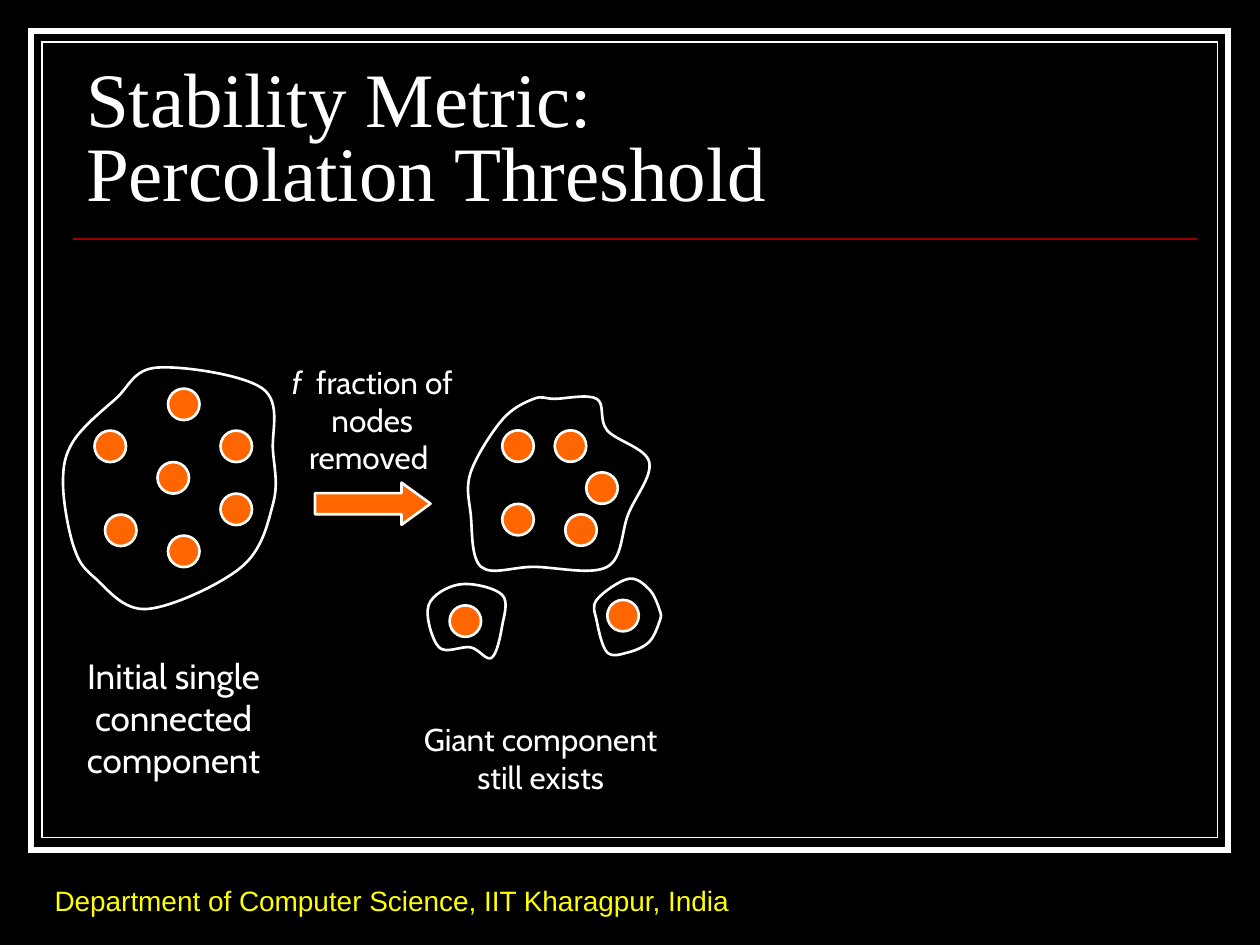
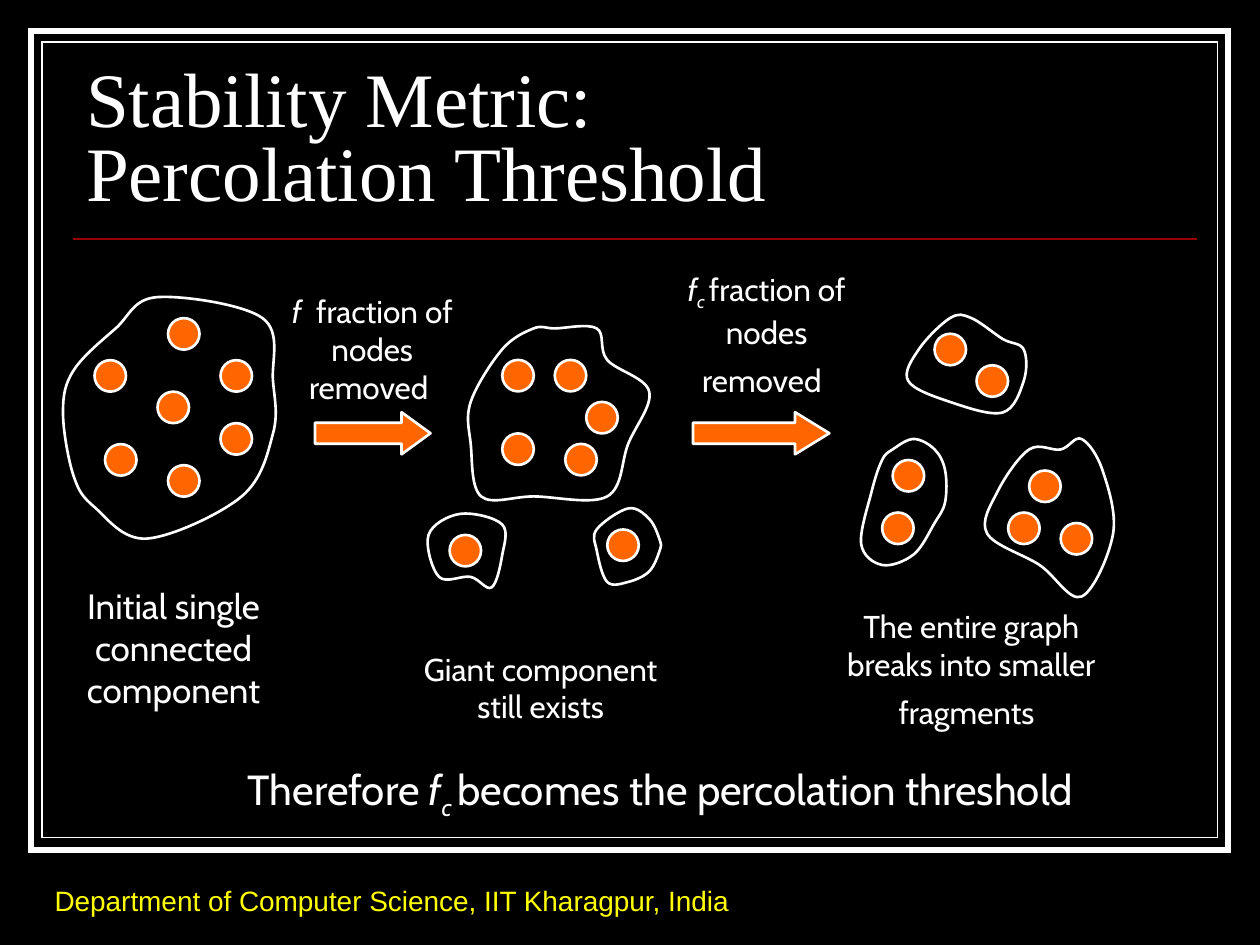
"""Build two slides on the percolation threshold of a network."""
from dataclasses import dataclass

from lxml.etree import SubElement
from pptx import Presentation
from pptx.dml.color import RGBColor as Rgb
from pptx.enum.shapes import MSO_CONNECTOR as Link, MSO_SHAPE as Kind
from pptx.enum.text import MSO_ANCHOR as Anchor, MSO_AUTO_SIZE as Fit, PP_ALIGN as Align
from pptx.oxml.ns import qn
from pptx.util import Cm, Pt


@dataclass(frozen=True)
class Theme:
    """Colours, fonts and type sizes."""
    back: str = "000000"
    ink: str = "FFFFFF"
    node: str = "FF6600"
    rule: str = "990000"
    foot: str = "FFFF00"
    head_font: str = "Times New Roman"
    body_font: str = "Cabin"
    foot_font: str = "Arial"
    head: int = 44
    close: int = 24
    lead: int = 20
    note: int = 18
    base: int = 16
    edge: float = 1.5


LOOK = Theme()
GRID = 2.54 / 12
FORMS = {"s": ("baseline", "-25000"), "w": ("spc", "440")}

WHOLE = (
    [(5, 3), (1, 7), (0, 11), (1, 17), (3, 20), (8, 23), (17, 19), (20, 13),
     (20, 8), (19, 2), (9, 0)],
    [(15, 6), (15, 12), (10, 2), (3, 6), (10, 16), (4, 14), (9, 9)])
GIANT = (
    [(8, 0), (6, 0), (3, 2), (0, 7), (0, 11), (1, 16), (6, 16), (13, 16),
     (15, 11), (17, 6), (13, 3), (12, 0)],
    [(3, 3), (3, 10), (8, 3), (11, 7), (9, 11)])
LEFT = ([(3, 0), (0, 2), (1, 6), (4, 6), (6, 7), (7, 4), (7, 1)], [(2, 2)])
RIGHT = (
    [(3, 0), (0, 2), (0, 4), (1, 7), (3, 7), (5, 6), (6, 4), (6, 3), (5, 1)],
    [(1, 2)])
UPPER = (
    [(6, 0), (4, 0), (1, 3), (0, 6), (4, 8), (9, 9), (11, 6), (11, 3), (9, 2)],
    [(6.5, 4.5), (2.5, 1.5)])
SLIM = (
    [(3, 1), (2, 2), (1, 5), (0, 10), (2, 12), (5, 11), (7, 8), (8, 6), (8, 3),
     (7, 1), (5, 0)],
    [(3, 2), (2, 7)])
KITE = (
    [(4, 1), (1, 5), (0, 9), (5, 12), (9, 15), (12, 9), (11, 3), (9, 0), (7, 1)],
    [(4, 3), (2, 7), (7, 8)])


def paint(shape, fill, width=LOOK.edge):
    """Give a shape a flat fill and a white edge."""
    shape.shadow.inherit = False
    shape.fill.solid()
    shape.fill.fore_color.rgb = Rgb.from_string(fill)
    shape.line.color.rgb = Rgb.from_string(LOOK.ink)
    shape.line.width = Pt(width)


def style(run, font, size, color):
    """Set the face, size and colour of a run."""
    run.font.name = font
    run.font.size = Pt(size)
    run.font.color.rgb = Rgb.from_string(color)


def label(slide, box, size, *parts):
    """Add centred (text, form, size) parts; form i is italic, s sub, w wide."""
    frame = slide.shapes.add_textbox(*map(Cm, box)).text_frame
    frame.word_wrap = True
    frame.auto_size = Fit.SHAPE_TO_FIT_TEXT
    para = frame.paragraphs[0]
    para.alignment = Align.CENTER
    for text, form, *own in parts:
        run = para.add_run()
        run.text = text
        style(run, LOOK.body_font, own[0] if own else size, LOOK.ink)
        run.font.italic = "i" in form
        for key, (name, value) in FORMS.items():
            if key in form:
                run.font._element.set(name, value)


def bend(shape):
    """Turn the straight sides of a closed outline into smooth curves."""
    track = shape.element.xpath(".//a:path")[0]
    knots = [(int(p.get("x")), int(p.get("y"))) for p in track.xpath(".//a:pt")][:-1]
    count = len(knots)
    for i, side in enumerate(track.xpath("./a:lnTo")):
        a, b, c, d = (knots[(i + k) % count] for k in (-1, 0, 1, 2))
        lead = [q + (r - p) / 6 for p, q, r in zip(a, b, c)]
        tail = [q - (r - p) / 6 for p, q, r in zip(b, c, d)]
        arc = track.makeelement(qn("a:cubicBezTo"))
        for x, y in (lead, tail, c):
            SubElement(arc, qn("a:pt"), x=str(round(x)), y=str(round(y)))
        track.replace(side, arc)


def cluster(slide, left, top, plan):
    """Draw an outline with its nodes from a corner."""
    def spot(x, y):
        """Turn grid steps into slide lengths."""
        return Cm(left + x * GRID), Cm(top + y * GRID)

    knots, nodes = plan
    shapes = slide.shapes.add_group_shape().shapes
    first, *rest = [spot(*knot) for knot in knots]
    pen = shapes.build_freeform(*first)
    pen.add_line_segments(rest + [first], close=True)
    blob = pen.convert_to_shape()
    paint(blob, LOOK.back)
    bend(blob)
    side = Cm(3 * GRID)
    for node in nodes:
        paint(shapes.add_shape(Kind.OVAL, *spot(*node), side, side), LOOK.node)


def arrow(slide, left, top, width, tip):
    """Draw a block arrow to the right."""
    shape = slide.shapes.add_shape(
        Kind.RIGHT_ARROW, Cm(left), Cm(top), Cm(width), Cm(0.85))
    shape.adjustments[0] = 0.5
    shape.adjustments[1] = tip
    paint(shape, LOOK.node)


def start(slide, left, top):
    """Place the connected network and its caption."""
    cluster(slide, left, top, WHOLE)
    label(slide, (left - 0.84, top + 5.66, 6.14, 2.79), LOOK.lead,
          ("Initial single connected component", ""))


def middle(slide, left, top):
    """Place the first removal step and the giant component."""
    arrow(slide, left, top + 2.32, 2.33, 0.688)
    label(slide, (left - 1.07, top - 0.22, 4.45, 2.54), LOOK.note,
          ("f", "i"), (" ", "w"), ("fraction of nodes removed", ""), (" ", "w"))
    cluster(slide, left + 3.14, top + 0.63, GIANT)
    cluster(slide, left + 2.29, top + 4.37, LEFT)
    cluster(slide, left + 5.68, top + 4.26, RIGHT)
    label(slide, (left + 1.69, top + 6.98, 5.72, 1.78), LOOK.note,
          ("Giant component still exists", ""))


def final(slide, left, top):
    """Place the critical removal step and the fragments."""
    arrow(slide, left, top + 2.32, 2.75, 0.813)
    label(slide, (left - 0.42, top - 0.68, 3.81, 2.9), LOOK.note,
          ("f", "i"), ("c ", "is"), ("fraction of nodes removed", ""),
          (" ", "", LOOK.close))
    cluster(slide, left + 4.34, top + 0.42, UPPER)
    cluster(slide, left + 3.39, top + 2.86, SLIM)
    cluster(slide, left + 5.93, top + 2.86, KITE)
    label(slide, (left + 2.54, top + 6.13, 6.14, 2.79), LOOK.note,
          ("The entire graph breaks into smaller fragments", ""),
          (" ", "", LOOK.close))


def border(slide, layout):
    """Draw the double frame and hand it to the layout."""
    for mark, (inset, width, height, line) in enumerate(
            ((0.63, 24.13, 16.51, 3.5), (0.85, 23.7, 16.03, 0.75)), 101):
        frame = slide.shapes.add_shape(
            Kind.RECTANGLE, Cm(inset), Cm(inset), Cm(width), Cm(height))
        paint(frame, LOOK.back, line)
        SubElement(frame.element.spPr.find(qn("a:ln")), qn("a:miter"), lim="800000")
        frame.element.xpath(".//p:cNvPr")[0].set("id", str(mark))
        layout.shapes.element.append(frame.element)


def divide(slide):
    """Draw the rule under the title."""
    rule = slide.shapes.add_connector(
        Link.STRAIGHT, Cm(1.48), Cm(4.82), Cm(24.13), Cm(4.82))
    rule.line.color.rgb = Rgb.from_string(LOOK.rule)
    rule.line.width = Pt(1)
    SubElement(rule.element.spPr, qn("a:effectLst"))


def title(slide, lines):
    """Move and fill the title placeholder."""
    head = slide.shapes.title
    head.left, head.top, head.width, head.height = map(Cm, (1.48, 1.31, 22.66, 3.18))
    frame = head.text_frame
    frame.auto_size = Fit.NONE
    frame.vertical_anchor = Anchor.BOTTOM
    para = frame.paragraphs[0]
    para.alignment = Align.LEFT
    para.line_spacing = 0.8
    for i, line in enumerate(lines):
        if i:
            para.add_line_break()
        run = para.add_run()
        run.text = line
        style(run, LOOK.head_font, LOOK.head, LOOK.ink)


def footer(slide):
    """Add the department line under the frame."""
    frame = slide.shapes.add_textbox(
        Cm(0.85), Cm(17.35), Cm(15.95), Cm(1.27)).text_frame
    frame.word_wrap = True
    frame.vertical_anchor = Anchor.BOTTOM
    run = frame.paragraphs[0].add_run()
    run.text = "Department of Computer Science, IIT Kharagpur, India"
    style(run, LOOK.foot_font, LOOK.base, LOOK.foot)


def stage(deck, layout, top):
    """Add a slide with the first two network states."""
    slide = deck.slides.add_slide(layout)
    divide(slide)
    title(slide, ("Stability Metric:", "Percolation Threshold"))
    footer(slide)
    start(slide, 1.27, top)
    middle(slide, 6.35, top)
    return slide


def main():
    """Build and save the deck."""
    deck = Presentation()
    deck.slide_width, deck.slide_height = Cm(25.4), Cm(19.05)
    fill = deck.slide_master.background.fill
    fill.solid()
    fill.fore_color.rgb = Rgb.from_string(LOOK.back)
    layout = deck.slide_layouts.get_by_name("Title Only")
    slide = stage(deck, layout, 7.41)
    border(slide, layout)
    slide = stage(deck, layout, 5.99)
    final(slide, 13.97, 5.99)
    label(slide, (2.66, 15.27, 21.31, 1.42), LOOK.close,
          ("Therefore ", ""), ("f", "i"), ("c ", "is"),
          ("becomes the percolation threshold", ""))
    deck.save("out.pptx")


if __name__ == "__main__":
    main()
